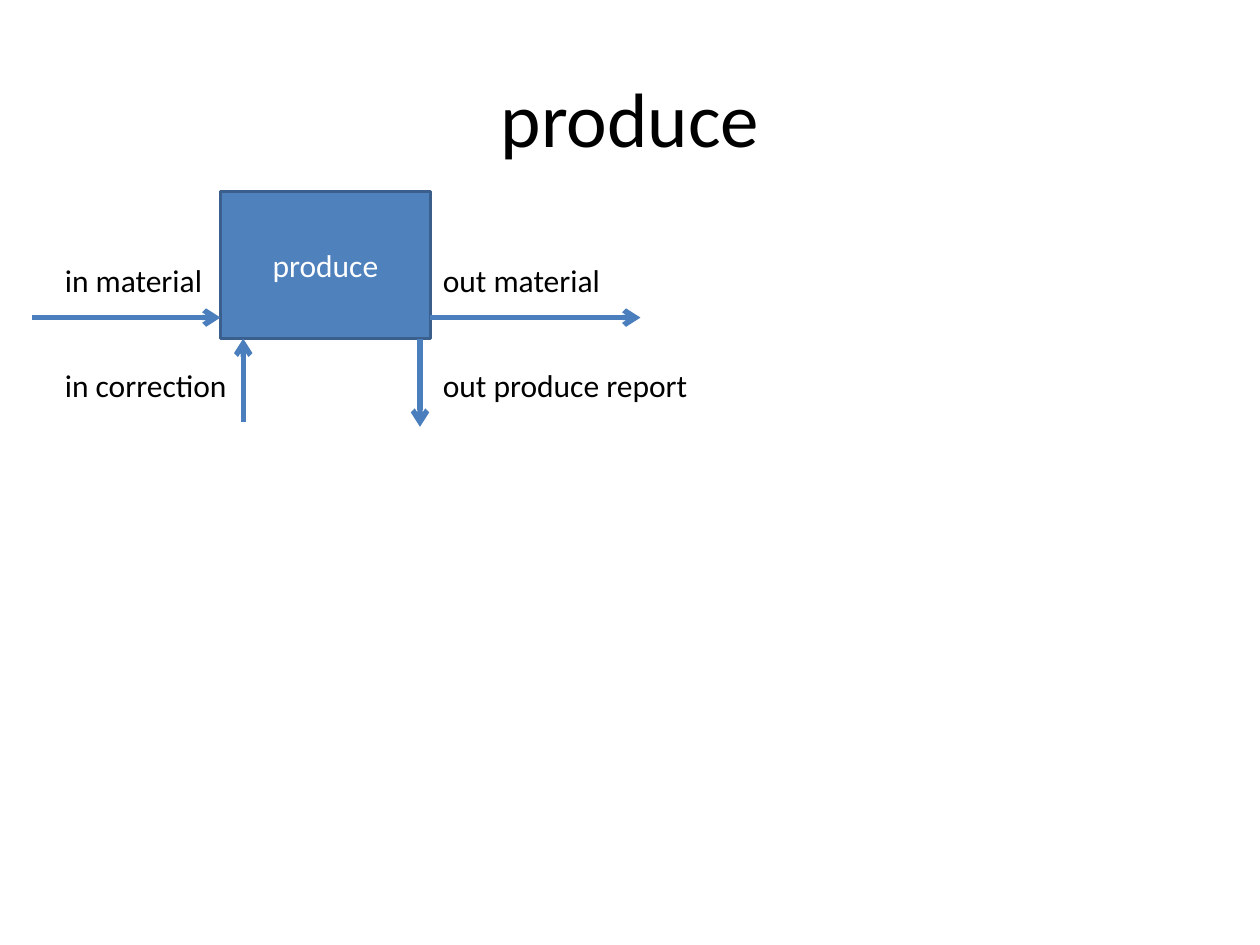
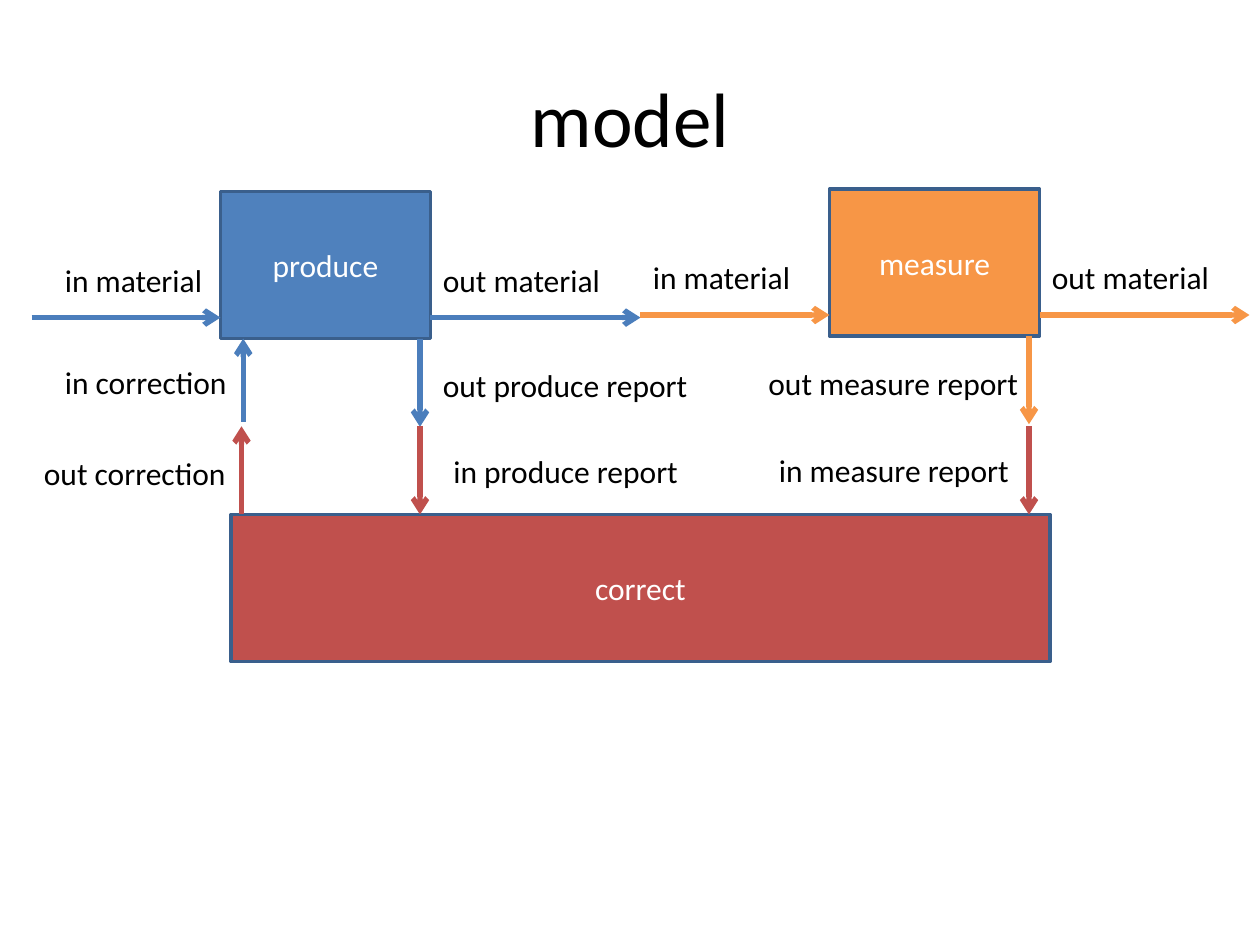
from pptx import Presentation
from pptx.util import Pt
from pptx.dml.color import RGBColor
from pptx.enum.shapes import MSO_SHAPE, MSO_CONNECTOR
from pptx.enum.text import PP_ALIGN, MSO_ANCHOR
from lxml import etree

RECT = MSO_SHAPE.RECTANGLE
LINE = MSO_CONNECTOR.STRAIGHT
LEFT, MID = PP_ALIGN.LEFT, PP_ALIGN.CENTER
TOP, CENTER = MSO_ANCHOR.TOP, MSO_ANCHOR.MIDDLE
NS = "http://schemas.openxmlformats.org/drawingml/2006/main"
FONT = "Calibri"
BLACK, WHITE, EDGE = "000000", "FFFFFF", "3A5F8C"
BLUE, FLOW, ORANGE, RED = "4F81BD", "4B7EBC", "F79646", "C0504D"
BOX_W, BOX_H = 120, 84
IN_LEN, OUT_LEN, DOWN = 108, 120, 50.4
PORT_Y, PORT_X = 72, 114
TEXT_H = 28.8

PRODUCE = {
    "name": "produce", "at": (126, 109.5), "fill": BLUE, "flow": FLOW,
    "labels": [("in material", -96, 36, 96), ("out material", 120, 36, 114),
               ("out produce report", 120, 96, 162)],
}
MEASURE = {
    "name": "measure", "at": (474, 108), "fill": ORANGE, "flow": ORANGE,
    "labels": [("in material", -108, 36, 96), ("out material", 120, 36, 114),
               ("out measure report", -42, 96.5, 162)],
}
CORRECT = {
    "name": "correct", "at": (132, 294), "width": 468,
    "arrows": [(588, True), (240, True), (138, False)],
    "labels": [("in measure report", 438, 254, 162),
               ("in produce report", 252, 255, 162),
               ("out correction", 18, 256, 120)],
}
SLIDES = [
    {"title": "produce", "units": [PRODUCE], "fix": 205.5, "correct": None},
    {"title": "model", "units": [PRODUCE, MEASURE], "fix": 204,
     "correct": CORRECT},
]


def color(code):
    return RGBColor.from_string(code)


def write(shape, text, size, ink, align, anchor):
    frame = shape.text_frame
    frame.word_wrap = True
    frame.vertical_anchor = anchor
    para = frame.paragraphs[0]
    para.alignment = align
    run = para.add_run()
    run.text = text
    run.font.size = Pt(size)
    run.font.name = FONT
    run.font.color.rgb = color(ink)


def label(slide, text, x, y, w, h=TEXT_H, size=18, align=LEFT, anchor=TOP):
    box = slide.shapes.add_textbox(Pt(x), Pt(y), Pt(w), Pt(h))
    write(box, text, size, BLACK, align, anchor)


def block(slide, text, x, y, w, fill):
    box = slide.shapes.add_shape(RECT, Pt(x), Pt(y), Pt(w), Pt(BOX_H))
    box.shadow.inherit = False
    box.fill.solid()
    box.fill.fore_color.rgb = color(fill)
    box.line.color.rgb = color(EDGE)
    box.line.width = Pt(2)
    write(box, text, 18, WHITE, MID, CENTER)


def arrow(slide, x1, y1, x2, y2, ink):
    link = slide.shapes.add_connector(LINE, Pt(x1), Pt(y1), Pt(x2), Pt(y2))
    link.line.color.rgb = color(ink)
    link.line.width = Pt(3)
    tip = etree.SubElement(link.line._get_or_add_ln(), f"{{{NS}}}tailEnd")
    tip.set("type", "arrow")
    etree.SubElement(link._element.spPr, f"{{{NS}}}effectLst")


def station(slide, unit):
    x, y = unit["at"]
    ink = unit["flow"]
    right, base, port = x + BOX_W, y + BOX_H, y + PORT_Y
    block(slide, unit["name"], x, y, BOX_W, unit["fill"])
    arrow(slide, x - IN_LEN, port, x, port, ink)
    arrow(slide, right, port, right + OUT_LEN, port, ink)
    arrow(slide, x + PORT_X, base, x + PORT_X, base + DOWN, ink)
    for text, dx, dy, w in unit["labels"]:
        label(slide, text, x + dx, y + dy, w)


def feedback(slide, y):
    left, top = PRODUCE["at"]
    x, base = left + 13, top + BOX_H
    arrow(slide, x, base + 47.5, x, base, FLOW)
    label(slide, "in correction", 30, y, 114)


def control(slide, unit):
    x, y = unit["at"]
    block(slide, unit["name"], x, y, unit["width"], RED)
    for px, down in unit["arrows"]:
        start, end = (y - DOWN, y) if down else (y, y - DOWN)
        arrow(slide, px, start, px, end, RED)
    for item in unit["labels"]:
        label(slide, *item)


deck = Presentation()
deck.slide_width, deck.slide_height = Pt(720), Pt(540)
for page in SLIDES:
    slide = deck.slides.add_slide(deck.slide_layouts[6])
    label(slide, page["title"], 36, 21.6, 648, 90, 44, MID, CENTER)
    for unit in page["units"]:
        station(slide, unit)
    feedback(slide, page["fix"])
    if page["correct"]:
        control(slide, page["correct"])
deck.save("out.pptx")
